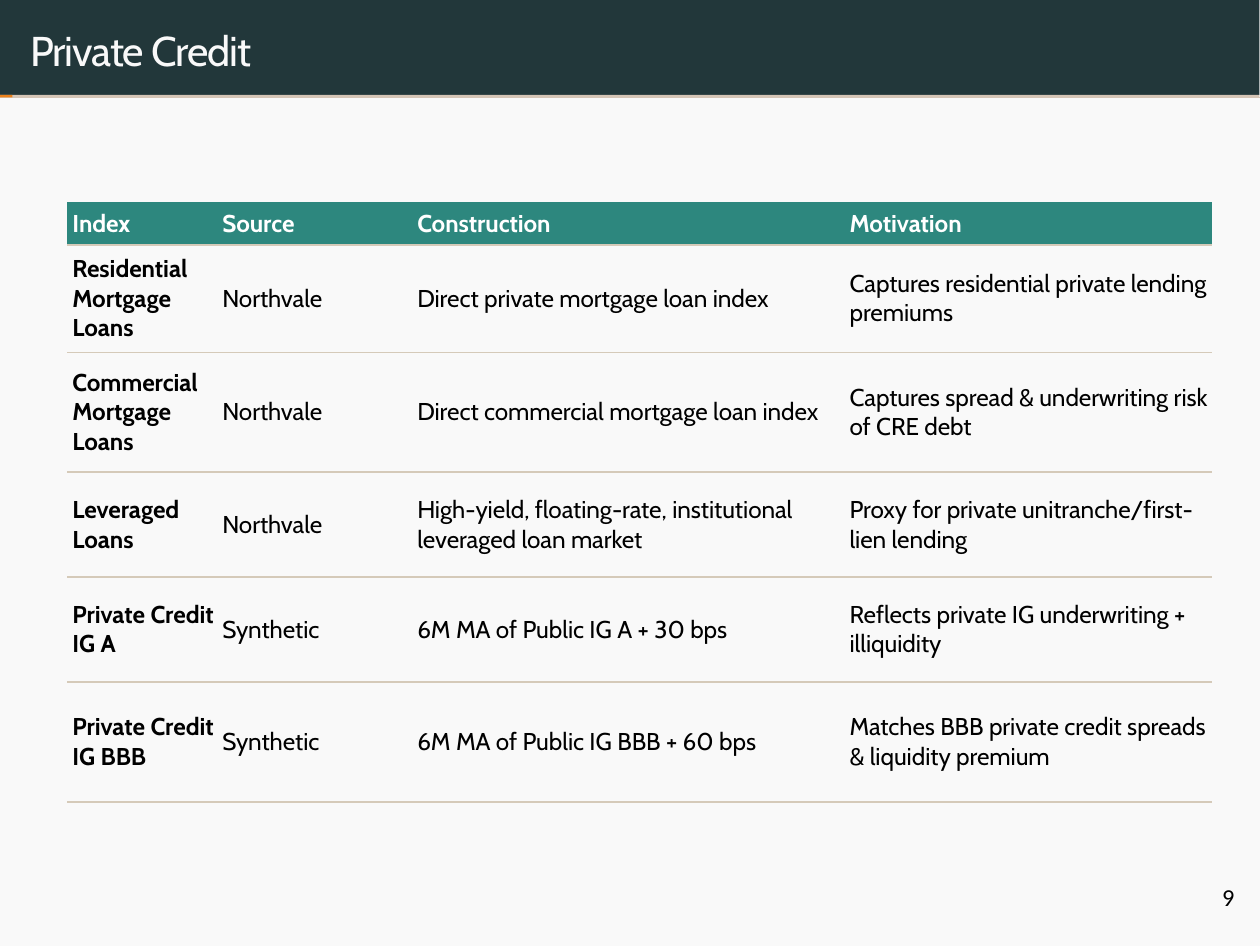
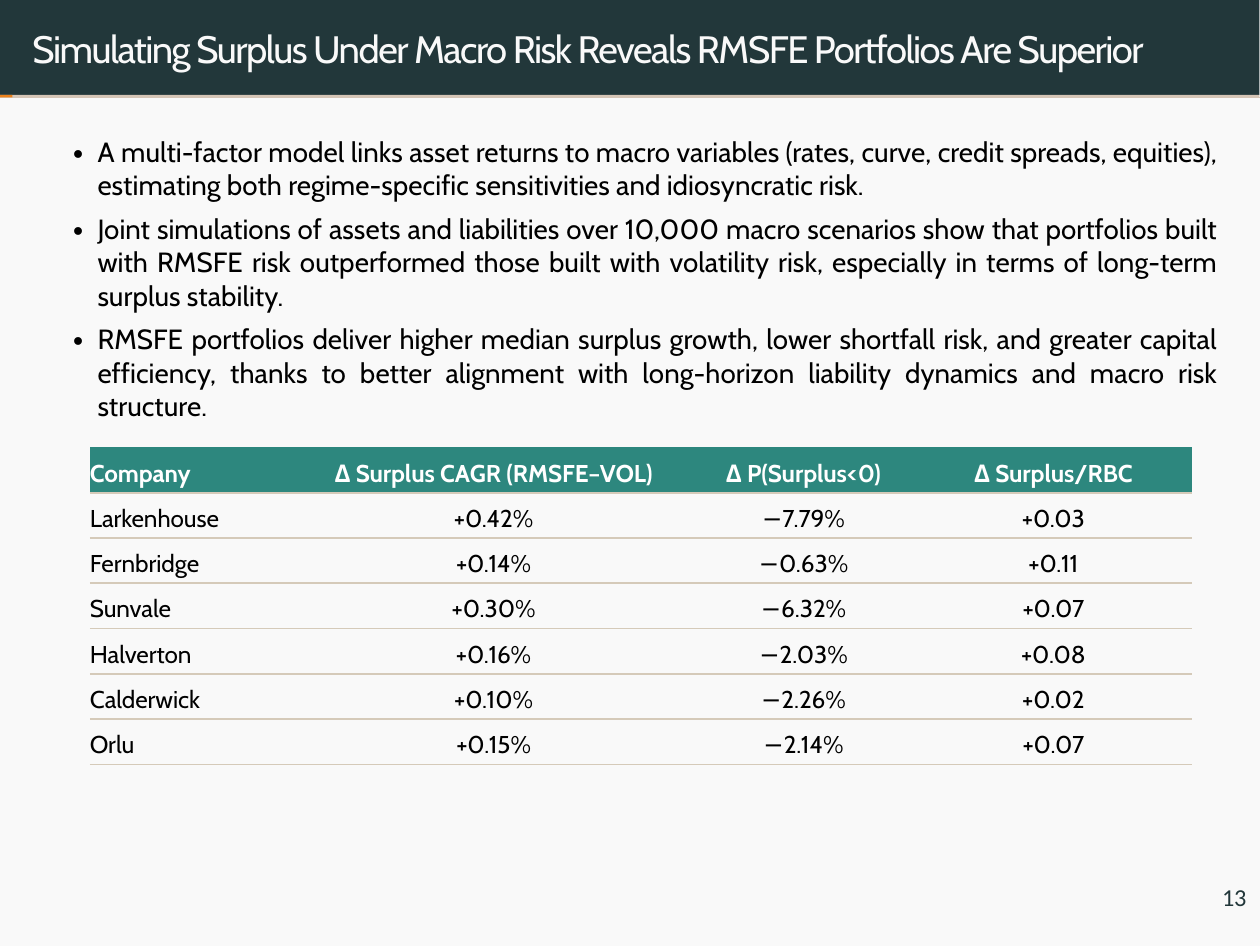
from dataclasses import dataclass

from lxml.etree import SubElement
from pptx import Presentation
from pptx.dml.color import RGBColor
from pptx.enum.shapes import MSO_CONNECTOR, MSO_SHAPE
from pptx.enum.text import MSO_ANCHOR, PP_ALIGN
from pptx.oxml import parse_xml
from pptx.oxml.ns import nsdecls, qn
from pptx.util import Inches, Pt


@dataclass(frozen=True)
class Theme:
    # Colours
    paper: str = "F9F9F9"
    band: str = "22373A"
    track: str = "D5C5B6"
    progress: str = "EB811B"
    header: str = "2D877E"
    rule: str = "D5CAB9"
    white: str = "FFFFFF"
    ink: str = "000000"
    # Fonts and sizes
    font: str = "Cabin"
    number_font: str = "Calibri"
    bullet_size: float = 8
    small_size: float = 7
    # Frame of every slide
    width: float = 5.04
    band_height: float = 0.38


class Deck:
    def __init__(self, theme):
        self.t = theme
        self.prs = Presentation()
        # The page is a whole number of half points
        self.prs.slide_width = Pt(363)
        self.prs.slide_height = Pt(272.5)
        self.s = None

    def slide(self):
        """Add a slide with its background, title band and progress line."""
        t = self.t
        self.s = self.prs.slides.add_slide(self.prs.slide_layouts[6])
        fill = self.s.background.fill
        fill.solid()
        fill.fore_color.rgb = RGBColor.from_string(t.paper)
        self.rect(0, 0, t.width, t.band_height, t.band)
        self.line(0, 0.39, t.width, 0.39, t.track, 0.4)
        self.rect(0, t.band_height, t.width, 0.01, t.track)
        self.rect(0, t.band_height, 0.05, 0.01, t.progress)

    def rect(self, x, y, w, h, color):
        sp = self.s.shapes.add_shape(
            MSO_SHAPE.RECTANGLE, Inches(x), Inches(y), Inches(w), Inches(h))
        sp.shadow.inherit = False
        sp.fill.solid()
        sp.fill.fore_color.rgb = RGBColor.from_string(color)
        sp.line.fill.background()

    def line(self, x1, y1, x2, y2, color, width):
        cn = self.s.shapes.add_connector(
            MSO_CONNECTOR.STRAIGHT, Inches(x1), Inches(y1), Inches(x2), Inches(y2))
        cn.line.color.rgb = RGBColor.from_string(color)
        cn.line.width = Pt(width)
        SubElement(cn._element.spPr, qn("a:effectLst"))

    def style(self, p, size, color, bold=False, font=None, spacing=0):
        for r in p.runs:
            r.font.name = font or self.t.font
            r.font.size = Pt(size)
            r.font.bold = bold
            r.font.color.rgb = RGBColor.from_string(color)
            if spacing:
                r._r.get_or_add_rPr().set("spc", str(round(spacing * 100)))

    def box(self, x, y, w, h, text):
        sp = self.s.shapes.add_textbox(Inches(x), Inches(y), Inches(w), Inches(h))
        tf = sp.text_frame
        tf.word_wrap = True
        tf.margin_left = tf.margin_right = tf.margin_bottom = 0
        tf.margin_top = Inches(0.01)
        tf.text = text
        return tf

    def title(self, text, x, size, spacing):
        tf = self.box(x, 0.09, self.t.width - x, 0.21, text)
        self.style(tf.paragraphs[0], size, self.t.paper, spacing=spacing)

    def number(self, text, color, spacing=0):
        tf = self.box(4.89, 3.52, 0.15, 0.13, text)
        self.style(tf.paragraphs[0], self.t.small_size, color,
                   font=self.t.number_font, spacing=spacing)

    def bullets(self, x, y, w, h, items):
        tf = self.box(x, y, w, h, "\n".join(items))
        for i, p in enumerate(tf.paragraphs):
            pPr = p._p.get_or_add_pPr()
            pPr.set("marL", str(Inches(0.2)))
            pPr.set("indent", str(Inches(-0.1)))
            SubElement(pPr, qn("a:buSzPct")).set("val", "130000")
            SubElement(pPr, qn("a:buFont")).set("typeface", self.t.font)
            SubElement(pPr, qn("a:buChar")).set("char", "•")
            p.alignment = PP_ALIGN.JUSTIFY
            if i:
                p.space_before = Pt(3)
            self.style(p, self.t.bullet_size, self.t.ink)

    def border(self, cell, side):
        """Draw one edge of a cell; borders come before the fill."""
        cell._tc.get_or_add_tcPr().insert(0, parse_xml(
            f'<a:{side} {nsdecls("a")} w="{Pt(0.5)}"><a:solidFill>'
            f'<a:srgbClr val="{self.t.rule}"/></a:solidFill></a:{side}>'))

    def table(self, x, y, cols, heights, rows, margins,
              bold_first=False, centred=False, spacing=None):
        t = self.t
        frame = self.s.shapes.add_table(
            len(rows), len(cols), Inches(x), Inches(y),
            Inches(sum(cols)), Inches(sum(heights)))
        tbl = frame.table
        # The plain style, without grid or bands
        tbl._tbl.tblPr.find(qn("a:tableStyleId")).text = (
            "{2D5ABB26-0587-4C30-8999-92F81FD0307C}")
        tbl.horz_banding = False
        for col, w in zip(tbl.columns, cols):
            col.width = Inches(w)
        for row, h in zip(tbl.rows, heights):
            row.height = Inches(h)
        for i, row in enumerate(rows):
            for j, text in enumerate(row):
                cell = tbl.cell(i, j)
                (cell.margin_left, cell.margin_top, cell.margin_right,
                 cell.margin_bottom) = map(Inches, margins)
                cell.vertical_anchor = MSO_ANCHOR.MIDDLE
                cell.text_frame.text = text
                p = cell.text_frame.paragraphs[0]
                if centred and j:
                    p.alignment = PP_ALIGN.CENTER
                if spacing:
                    p.line_spacing = spacing
                self.style(p, t.small_size, t.ink if i else t.white,
                           bold=i == 0 or (bold_first and j == 0))
                if i == 0:
                    cell.fill.solid()
                    cell.fill.fore_color.rgb = RGBColor.from_string(t.header)
                else:
                    cell.fill.background()
                self.border(cell, "lnB")


def private_credit(deck):
    deck.slide()
    deck.title("Private Credit", 0.12, 12, -0.3)
    deck.number("9", deck.t.ink)
    deck.table(
        0.27, 0.81, [0.6, 0.78, 1.73, 1.47],
        [0.17, 0.43, 0.48, 0.42, 0.42, 0.48],
        [
            ("Index", "Source", "Construction", "Motivation"),
            ("Residential Mortgage Loans", "Northvale",
             "Direct private mortgage loan index",
             "Captures residential private lending premiums"),
            ("Commercial Mortgage Loans", "Northvale",
             "Direct commercial mortgage loan index",
             "Captures spread & underwriting risk of CRE debt"),
            ("Leveraged Loans", "Northvale",
             "High-yield, floating-rate, institutional leveraged loan market",
             "Proxy for private unitranche/first-lien lending"),
            ("Private Credit IG A", "Synthetic",
             "6M MA of Public IG A + 30 bps",
             "Reflects private IG underwriting + illiquidity"),
            ("Private Credit IG BBB", "Synthetic",
             "6M MA of Public IG BBB + 60 bps",
             "Matches BBB private credit spreads & liquidity premium"),
        ],
        margins=(0.02, 0.01, 0.01, 0.01), bold_first=True)


def surplus_simulation(deck):
    deck.slide()
    deck.title("Simulating Surplus Under Macro Risk Reveals RMSFE Portfolios "
               "Are Superior", 0.13, 11, -0.45)
    deck.number("13", deck.t.band, -0.05)
    deck.bullets(0.19, 0.53, 4.69, 1.04, [
        "A multi-factor model links asset returns to macro variables (rates, "
        "curve, credit spreads, equities), estimating both regime-specific "
        "sensitivities and idiosyncratic risk.",
        "Joint simulations of assets and liabilities over 10,000 macro "
        "scenarios show that portfolios built with RMSFE risk outperformed "
        "those built with volatility risk, especially in terms of long-term "
        "surplus stability.",
        "RMSFE portfolios deliver higher median surplus growth, lower "
        "shortfall risk, and greater capital efficiency, thanks to better "
        "alignment with long-horizon liability dynamics and macro risk "
        "structure.",
    ])
    rows = [
        ("Company", "Δ Surplus CAGR (RMSFE–VOL)", "Δ P(Surplus<0)",
         "Δ Surplus/RBC"),
        ("Larkenhouse", "+0.42%", "−7.79%", "+0.03"),
        ("Fernbridge", "+0.14%", "−0.63%", "+0.11"),
        ("Sunvale", "+0.30%", "−6.32%", "+0.07"),
        ("Halverton", "+0.16%", "−2.03%", "+0.08"),
        ("Calderwick", "+0.10%", "−2.26%", "+0.02"),
        ("Orlu", "+0.15%", "−2.14%", "+0.07"),
    ]
    deck.table(0.36, 1.79, [0.83, 1.58, 0.9, 1.1],
               [1.27 / len(rows)] * len(rows), rows,
               margins=(0, 0.01, 0.01, 0), centred=True, spacing=1.15)


def main():
    deck = Deck(Theme())
    private_credit(deck)
    surplus_simulation(deck)
    deck.prs.save("out.pptx")


if __name__ == "__main__":
    main()
